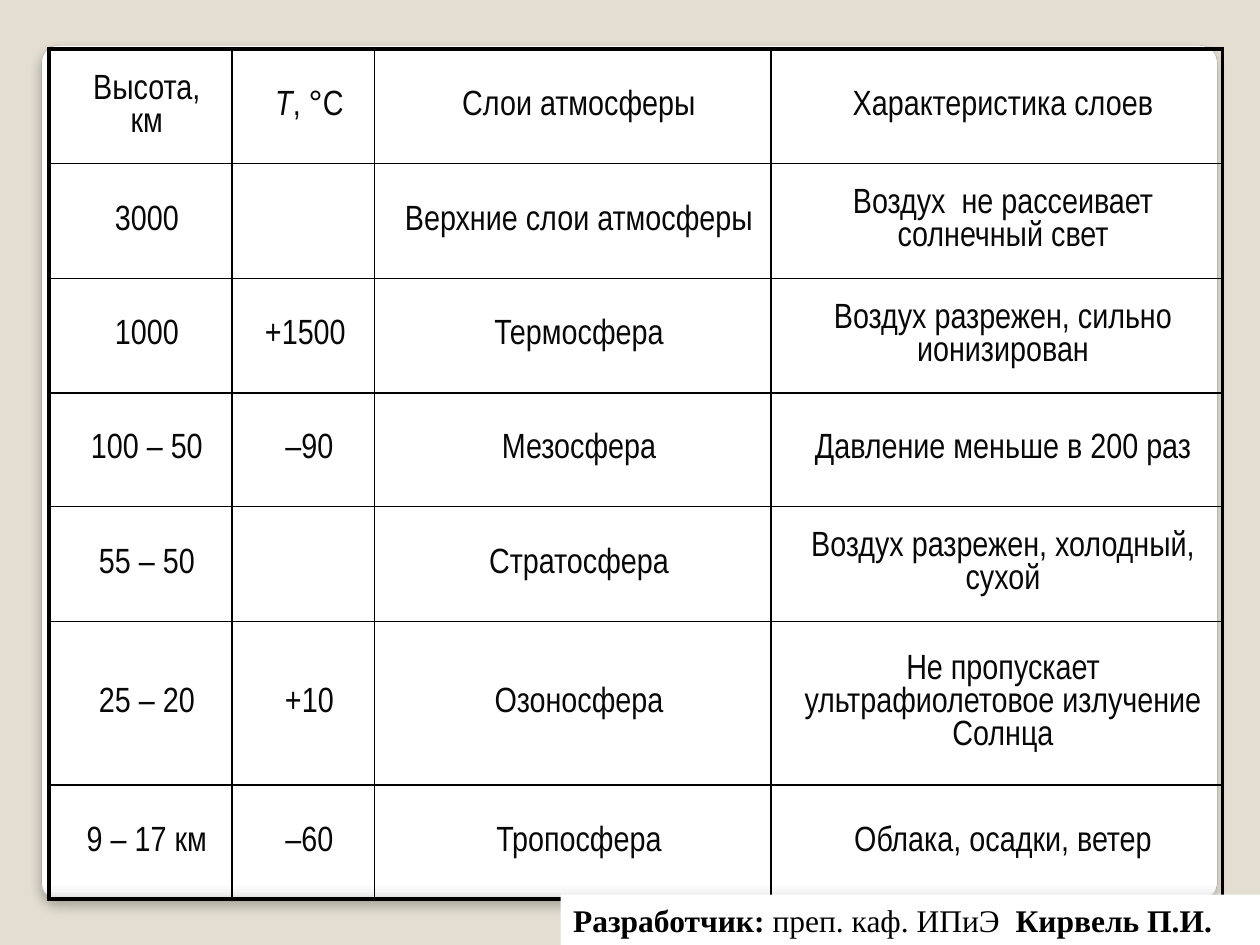
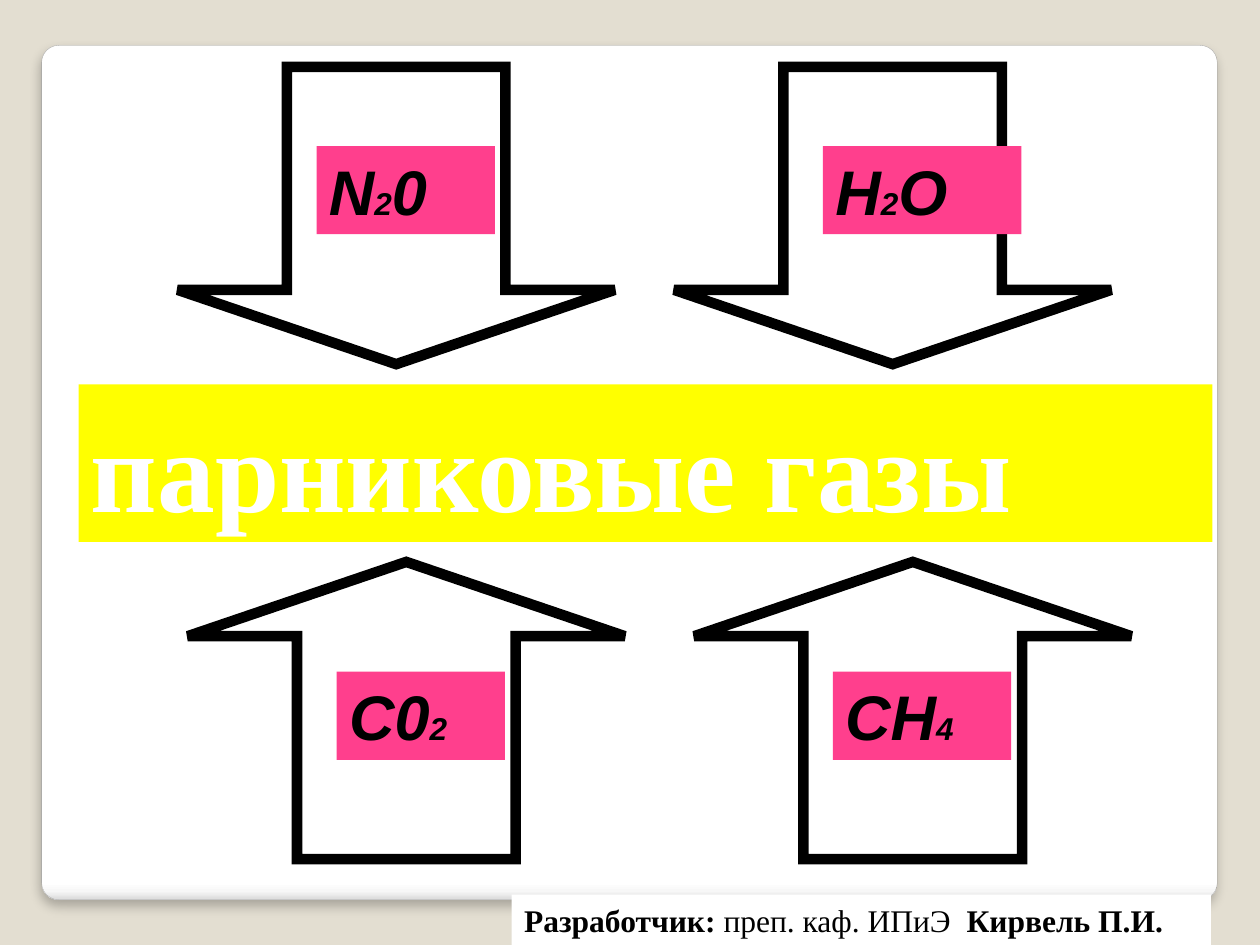
from dataclasses import dataclass
from typing import NamedTuple

from pptx import Presentation
from pptx.dml import color
from pptx.enum import shapes, text
from pptx.oxml import xmlchemy
from pptx.util import Pt

BACKDROP = "E3DED1"
WHITE = "FFFFFF"
BLACK = "000000"
TABLE_INK = "080808"
YELLOW = "FFFF00"
PINK = "FF3F8D"
SERIF = "Times New Roman"
NARROW = "Arial Narrow"
SANS = "Arial"
THIN, THICK = 1, 2.25


class Box(NamedTuple):
    left: float
    top: float
    width: float
    height: float


class Span(NamedTuple):
    words: str
    size: float
    bold: bool = False
    italic: bool = False


@dataclass(frozen=True)
class Gas:
    arrow_left: float
    arrow_top: float
    rotation: int
    label: Box
    formula: tuple[tuple[str, int], ...]


COLUMNS = (104.4, 81.4, 226.8, 257.8)
ROWS = (65.5, 65.5, 65.5, 65, 65.5, 93.6, 65)
LAYERS = (
    ("Высота, км", (Span("T", 20, italic=True), Span(", °C", 20)),
     "Слои атмосферы", "Характеристика слоев"),
    ("3000", "", "Верхние слои атмосферы", "Воздух  не рассеивает солнечный свет"),
    ("1000", "+1500 ", "Термосфера", "Воздух разрежен, сильно ионизирован"),
    ("100 – 50", "–90", "Мезосфера", "Давление меньше в 200 раз"),
    ("55 – 50", "", "Стратосфера", "Воздух разрежен, холодный, сухой"),
    ("25 – 20", "+10", "Озоносфера", "Не пропускает ультрафиолетовое излучение Солнца"),
    ("9 – 17 км", "–60", "Тропосфера", "Облака, осадки, ветер"),
)

GASES = (
    Gas(107.3, 321.1, 0, Box(192.4, 383.8, 96.2, 50.4), (("С0", 36), ("2", 18))),
    Gas(396.7, 321.1, 0, Box(475.9, 383.8, 102, 50.4), (("СН", 36), ("4", 18))),
    Gas(101.5, 38.2, 180, Box(180.9, 83.5, 102, 50.4), (("N", 36), ("2", 18), ("0", 36))),
    Gas(385.2, 38.2, 180, Box(470.2, 83.5, 113.4, 50.4), (("H", 36), ("2", 18), ("O", 36))),
)


def rgb(value: str) -> color.RGBColor:
    return color.RGBColor.from_string(value)


def add_element(parent, tag: str, **attributes):
    child = xmlchemy.OxmlElement(tag)
    for key, value in attributes.items():
        child.set(key, str(value))
    parent.append(child)
    return child


def add_color(parent, value: str):
    return add_element(parent, "a:srgbClr", val=value)


def write(paragraph, words: str, *, size: float, font: str, ink: str = BLACK,
          bold: bool = False, italic: bool = False) -> None:
    run = paragraph.add_run()
    run.text = words
    run.font.size = Pt(size)
    run.font.name = font
    run.font.bold = bold
    run.font.italic = italic
    run.font.color.rgb = rgb(ink)


def draw_shape(holder, kind, box: Box, *, fill: str | None = None,
               outline: str | None = None, weight: float = 0):
    shape = holder.add_shape(kind, *map(Pt, box))
    shape.shadow.inherit = False
    if fill:
        shape.fill.solid()
        shape.fill.fore_color.rgb = rgb(fill)
    else:
        shape.fill.background()
    if outline:
        shape.line.color.rgb = rgb(outline)
        shape.line.width = Pt(weight)
    else:
        shape.line.fill.background()
    return shape


def draw_label(holder, box: Box, spans, *, fill: str, font: str, ink: str = BLACK,
               anchor=text.MSO_ANCHOR.TOP) -> None:
    frame = draw_shape(holder, shapes.MSO_SHAPE.RECTANGLE, box, fill=fill).text_frame
    frame.word_wrap = True
    frame.vertical_anchor = anchor
    line = frame.paragraphs[0]
    line.alignment = text.PP_ALIGN.LEFT
    for span in spans:
        write(line, span.words, size=span.size, font=font, ink=ink,
              bold=span.bold, italic=span.italic)


def draw_panel(slide) -> None:
    panel = draw_shape(slide.shapes, shapes.MSO_SHAPE.ROUNDED_RECTANGLE,
                       Box(23.8, 25.9, 671.8, 488.2), outline="A4A4A4", weight=0.16)
    panel.adjustments[0] = 0.02
    panel.fill.gradient()
    panel.fill.gradient_angle = 270
    properties = panel._element.spPr
    stops = properties.find(".//{*}gsLst")
    for stop in list(stops):
        stops.remove(stop)
    for position, shade in ((0, WHITE), (98, WHITE), (99, "F7F7F7"), (100, "DADADA")):
        add_color(add_element(stops, "a:gs", pos=position * 1000), shade)
    shadow = add_element(properties.find("{*}effectLst"), "a:outerShdw",
                         blurRad=Pt(6), dist=Pt(4), dir=90 * 60000,
                         algn="t", rotWithShape=0)
    add_element(add_color(shadow, BLACK), "a:alpha", val=25000)


def draw_credit(slide, left: float) -> None:
    spans = (Span("Разработчик: ", 18, bold=True), Span("преп. каф. ИПиЭ  ", 18),
             Span("Кирвель П.И.", 18, bold=True))
    draw_label(slide.shapes, Box(left, 511.2, 399.6, 28.8), spans, fill=WHITE, font=SERIF)


def border_cell(cell, **weights: float) -> None:
    properties = cell._tc.get_or_add_tcPr()
    for position, (side, weight) in enumerate(weights.items()):
        line = xmlchemy.OxmlElement(f"a:ln{side}")
        line.set("w", str(Pt(weight)))
        add_color(add_element(line, "a:solidFill"), BLACK)
        properties.insert(position, line)


def fill_cell(cell, content) -> None:
    cell.fill.background()
    cell.vertical_anchor = text.MSO_ANCHOR.MIDDLE
    line = cell.text_frame.paragraphs[0]
    line.alignment = text.PP_ALIGN.CENTER
    line.space_before = Pt(4)
    indent = line._p.get_or_add_pPr()
    indent.set("marL", str(Pt(7.2)))
    indent.set("indent", "0")
    spans = (Span(content, 20),) if isinstance(content, str) else content
    for span in spans:
        if span.words:
            write(line, span.words, size=span.size, font=NARROW, ink=TABLE_INK,
                  italic=span.italic)


def draw_layers(slide) -> None:
    box = Box(28.1, 28.1, sum(COLUMNS), sum(ROWS))
    layers = slide.shapes.add_table(len(ROWS), len(COLUMNS), *map(Pt, box)).table
    layers.first_row = False
    layers.horz_banding = False
    for column, width in zip(layers.columns, COLUMNS):
        column.width = Pt(width)
    last_row, last_column = len(ROWS) - 1, len(COLUMNS) - 1
    for r, contents in enumerate(LAYERS):
        layers.rows[r].height = Pt(ROWS[r])
        for c, content in enumerate(contents):
            cell = layers.cell(r, c)
            fill_cell(cell, content)
            border_cell(cell,
                        L=THICK if c == 0 else THIN,
                        R=THICK if c == last_column else THIN,
                        T=THICK if r == 0 else THIN,
                        B=THICK if r == last_row else THIN)


def draw_gas(slide, gas: Gas) -> None:
    group = slide.shapes.add_group_shape().shapes
    arrow = draw_shape(group, shapes.MSO_SHAPE.UP_ARROW,
                       Box(gas.arrow_left, gas.arrow_top, 249.8, 169.9),
                       outline=BLACK, weight=6)
    arrow.adjustments[0] = 0.5
    arrow.adjustments[1] = 0.25
    arrow.rotation = gas.rotation
    add_element(arrow.line._get_or_add_ln(), "a:miter", lim=800000)
    spans = [Span(words, size, bold=True, italic=True) for words, size in gas.formula]
    draw_label(group, gas.label, spans, fill=PINK, font=SANS)


def add_slide(deck):
    slide = deck.slides.add_slide(deck.slide_layouts[6])
    slide.background.fill.solid()
    slide.background.fill.fore_color.rgb = rgb(BACKDROP)
    draw_panel(slide)
    return slide


def main() -> None:
    deck = Presentation()
    deck.slide_width, deck.slide_height = Pt(720), Pt(540)

    atmosphere = add_slide(deck)
    draw_layers(atmosphere)
    draw_credit(atmosphere, 320.4)

    greenhouse = add_slide(deck)
    draw_label(greenhouse.shapes, Box(44.9, 219.6, 648, 90),
               [Span("парниковые газы", 66, bold=True)], fill=YELLOW, font=SERIF,
               ink=WHITE, anchor=text.MSO_ANCHOR.BOTTOM)
    for gas in GASES:
        draw_gas(greenhouse, gas)
    draw_credit(greenhouse, 292.4)

    deck.save("out.pptx")


if __name__ == "__main__":
    main()
